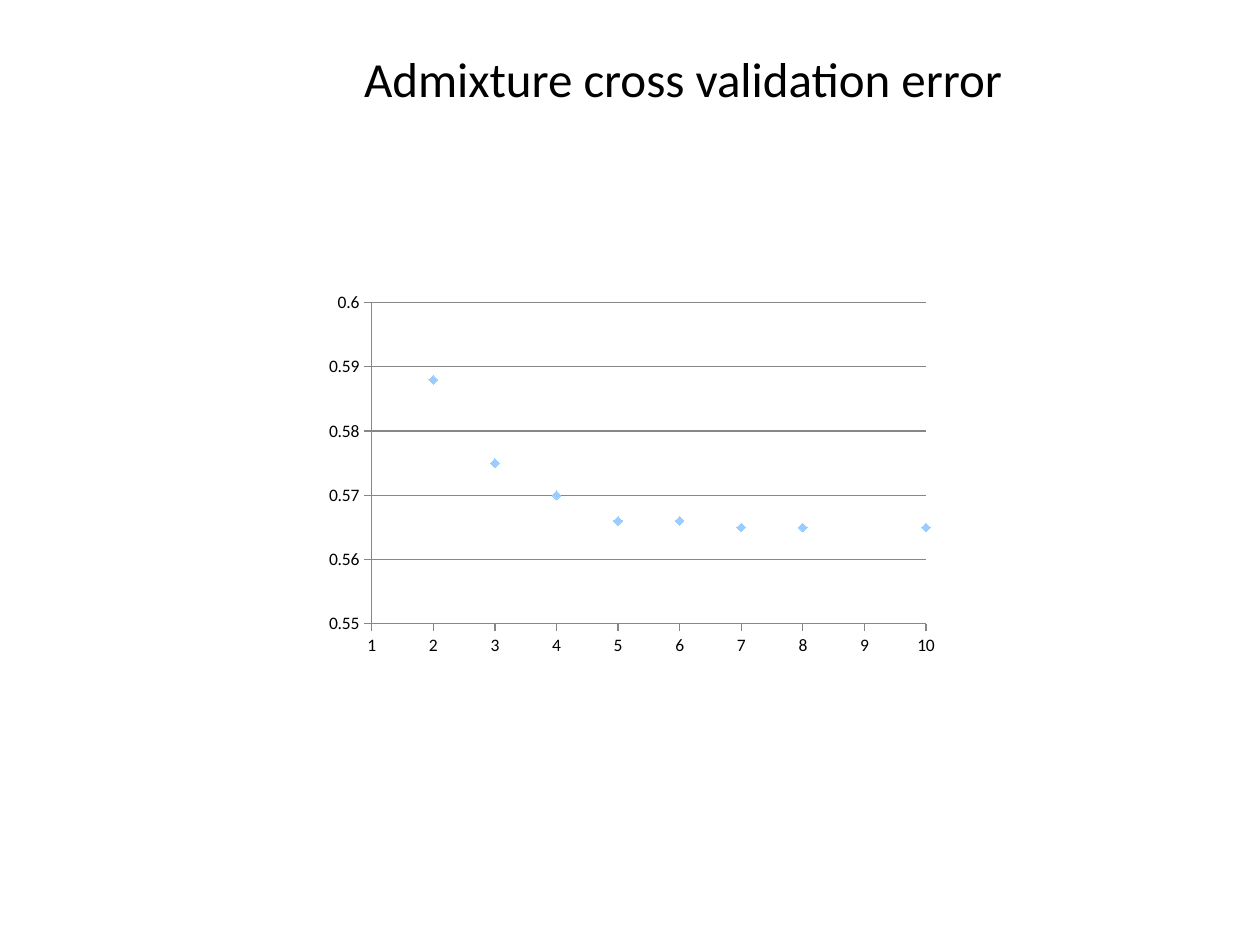
from lxml import etree
from pptx import Presentation
from pptx.chart.data import XyChartData
from pptx.dml.color import RGBColor
from pptx.enum.chart import XL_CHART_TYPE, XL_MARKER_STYLE, XL_TICK_MARK
from pptx.enum.text import MSO_ANCHOR, PP_ALIGN
from pptx.oxml.ns import qn
from pptx.util import Cm, Pt

SCATTER = XL_CHART_TYPE.XY_SCATTER
DIAMOND = XL_MARKER_STYLE.DIAMOND
TICK_OUT, TICK_NONE = XL_TICK_MARK.OUTSIDE, XL_TICK_MARK.NONE
CENTER, MIDDLE = PP_ALIGN.CENTER, MSO_ANCHOR.MIDDLE

FONT = "Calibri"
BLACK, GREY, LIGHT_BLUE = "000000", "878787", "99CCFF"
CV_ERRORS = {1: 0.603, 2: 0.588, 3: 0.575, 4: 0.57, 5: 0.566,
             6: 0.566, 7: 0.565, 8: 0.565, 10: 0.565}
PLOT_BOX = {"x": 0.09, "y": 0.05, "w": 0.88, "h": 0.85}


def color(hex_code):
    return RGBColor.from_string(hex_code)


def style_font(font, size):
    font.name = FONT
    font.size = Pt(size)
    font.color.rgb = color(BLACK)


def style_line(line):
    line.color.rgb = color(GREY)
    line.width = Pt(0.75)


def style_axis(axis, low, high, step, number_format):
    axis.minimum_scale, axis.maximum_scale = low, high
    axis.major_unit = step
    axis.major_tick_mark, axis.minor_tick_mark = TICK_OUT, TICK_NONE
    axis.tick_labels.number_format = number_format
    axis.tick_labels.number_format_is_linked = False
    style_line(axis.format.line)


def fix_plot_area(chart, box):
    plot_area = chart._chartSpace.chart.plotArea
    for old in plot_area.findall(qn("c:layout")):
        plot_area.remove(old)
    layout = etree.Element(qn("c:layout"))
    manual = etree.SubElement(layout, qn("c:manualLayout"))
    settings = {"layoutTarget": "inner", "xMode": "edge", "yMode": "edge", **box}
    for tag, value in settings.items():
        etree.SubElement(manual, qn(f"c:{tag}")).set("val", str(value))
    plot_area.insert(0, layout)


def add_title(slide, left, top, width, height):
    title = slide.shapes.title
    title.left, title.top, title.width, title.height = left, top, width, height
    frame = title.text_frame
    frame.word_wrap = True
    frame.vertical_anchor = MIDDLE
    paragraph = frame.paragraphs[0]
    paragraph.alignment = CENTER
    run = paragraph.add_run()
    run.text = "Admixture cross validation error"
    style_font(run.font, 28)


def add_error_chart(slide, left, top, width, height):
    data = XyChartData()
    errors = data.add_series("Series 1")
    for clusters, error in CV_ERRORS.items():
        errors.add_data_point(clusters, error)
    chart = slide.shapes.add_chart(SCATTER, left, top, width, height, data).chart
    chart.has_legend = False
    chart.has_title = False
    style_font(chart.font, 10)
    fix_plot_area(chart, PLOT_BOX)

    chart.plots[0].vary_by_categories = False
    series = chart.plots[0].series[0]
    series.smooth = False
    series.format.line.fill.background()
    series.marker.style = DIAMOND
    series.marker.size = 5
    series.marker.format.fill.solid()
    series.marker.format.fill.fore_color.rgb = color(LIGHT_BLUE)
    series.marker.format.line.fill.background()

    style_axis(chart.category_axis, 1, 10, 1, "General")
    chart.category_axis.has_major_gridlines = False
    style_axis(chart.value_axis, 0.55, 0.6, 0.01, "General")
    chart.value_axis.has_major_gridlines = True
    style_line(chart.value_axis.major_gridlines.format.line)


def main():
    presentation = Presentation()
    presentation.slide_width, presentation.slide_height = Cm(25.4), Cm(19.05)
    slide = presentation.slides.add_slide(presentation.slide_layouts[5])
    add_error_chart(slide, Cm(6.35), Cm(5.72), Cm(12.7), Cm(7.62))
    add_title(slide, Cm(4.88), Cm(0.84), Cm(17.78), Cm(1.45))
    presentation.save("out.pptx")


if __name__ == "__main__":
    main()
